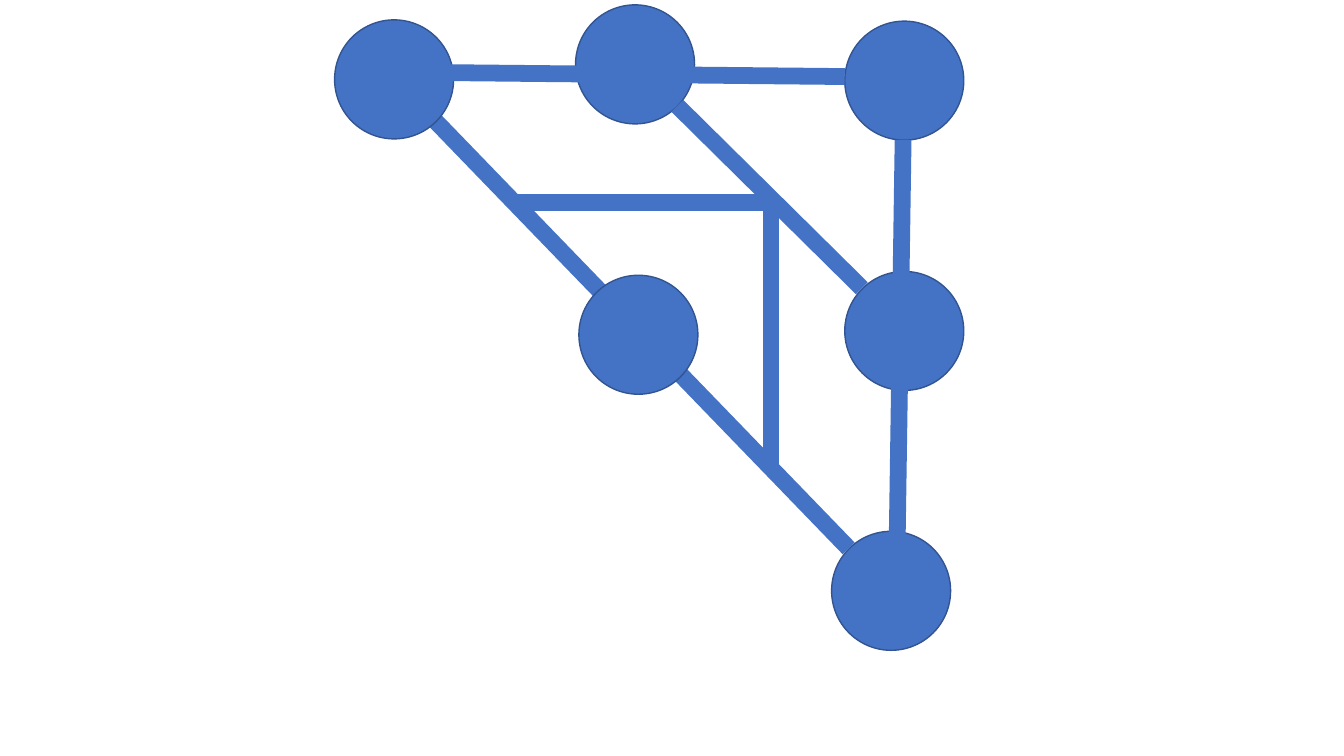
from lxml import etree
from pptx import Presentation
from pptx.dml.color import RGBColor
from pptx.enum.shapes import MSO_CONNECTOR, MSO_SHAPE
from pptx.oxml.ns import qn
from pptx.util import Pt

OVAL = MSO_SHAPE.OVAL
STRAIGHT = MSO_CONNECTOR.STRAIGHT
BLUE = RGBColor(0x44, 0x72, 0xC4)
DARK_BLUE = RGBColor(0x32, 0x54, 0x91)
NODE_SIZE = 85

deck = Presentation()
deck.slide_width = Pt(960)
deck.slide_height = Pt(540)
slide = deck.slides.add_slide(deck.slide_layouts[6])


def add_nodes(corners):
    for left, top in corners:
        node = slide.shapes.add_shape(
            OVAL, Pt(left), Pt(top), Pt(NODE_SIZE), Pt(NODE_SIZE))
        node.shadow.inherit = False
        node.fill.solid()
        node.fill.fore_color.rgb = BLUE
        node.line.color.rgb = DARK_BLUE
        node.line.width = Pt(1)


def add_edges(routes):
    for route in routes:
        edge = slide.shapes.add_connector(STRAIGHT, *[Pt(value) for value in route])
        edge.line.color.rgb = BLUE
        edge.line.width = Pt(12)
        etree.SubElement(edge._element.spPr, qn("a:effectLst"))


right_column = [(603.4, 15.1), (603.4, 193.9), (594, 379.5)]
outer_edges = [(606.2, 391.7, 311, 86.4), (645.1, 100.1, 640.8, 391.7)]
left_nodes = [(411.1, 3.5), (239, 14.2), (413.5, 196.6)]
inner_edges = [
    (483.8, 75.6, 615.6, 205.9),
    (310.3, 51.8, 603.4, 54.7),
    (550.8, 334.8, 550.8, 149.8),
    (366.5, 144.7, 550.8, 144.7),
]

add_nodes(right_column)
add_edges(outer_edges)
add_nodes(left_nodes)
add_edges(inner_edges)

deck.save("out.pptx")
